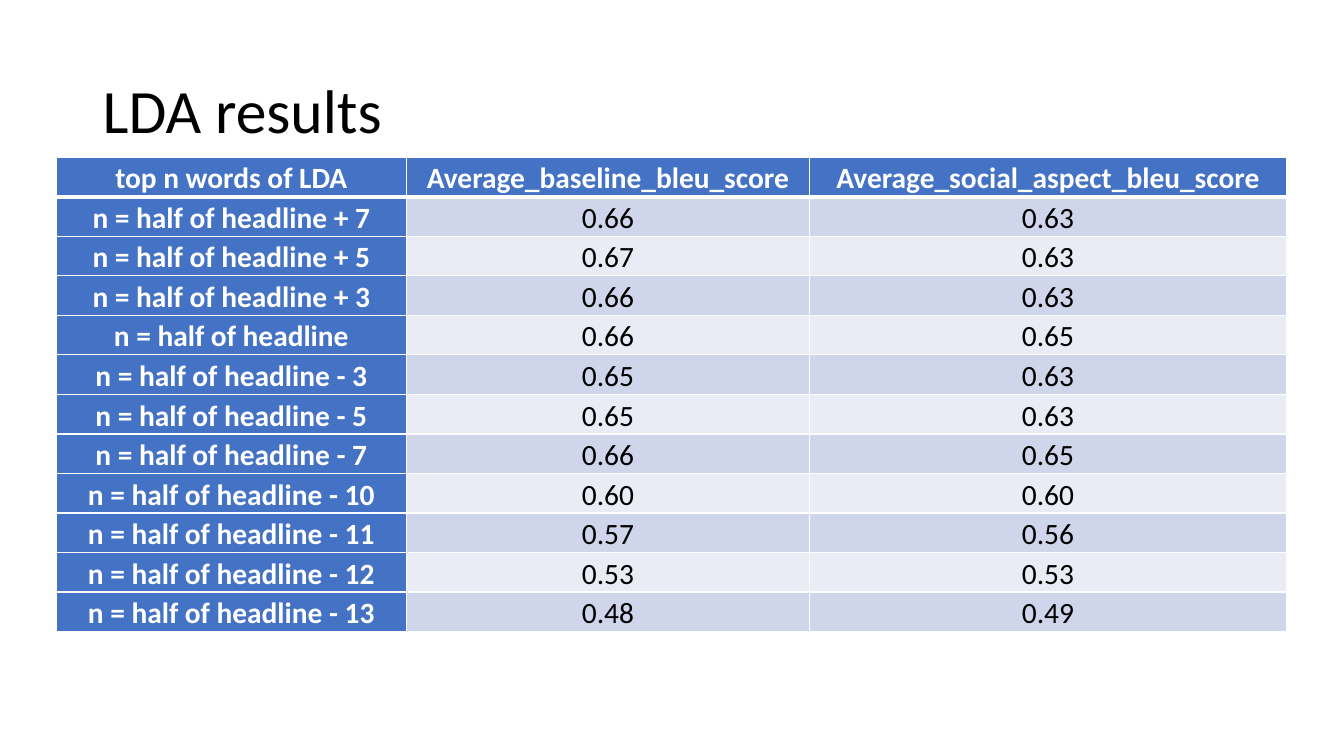
import pptx
import pptx.dml.color
import pptx.enum.text
import pptx.oxml
import pptx.oxml.ns
import pptx.util

BLUE, WHITE, BLACK = "4472C4", "FFFFFF", "000000"
BANDS = ("E9EBF5", "CFD5EA")
COLUMN_SHARES = (26.03, 30.01, 35.48)
ROW_SHARE = 5.23
HEADER = ("top n words of LDA", "Average_baseline_bleu_score", "Average_social_aspect_bleu_score")
SCORES = (
    (" + 7", "0.66", "0.63"),
    (" + 5", "0.67", "0.63"),
    (" + 3", "0.66", "0.63"),
    ("", "0.66", "0.65"),
    (" - 3", "0.65", "0.63"),
    (" - 5", "0.65", "0.63"),
    (" - 7", "0.66", "0.65"),
    (" - 10", "0.60", "0.60"),
    (" - 11", "0.57", "0.56"),
    (" - 12", "0.53", "0.53"),
    (" - 13", "0.48", "0.49"),
)


def color(value):
    return pptx.dml.color.RGBColor.from_string(value)


def set_format(target, values):
    for name, value in values.items():
        setattr(target, name, value)


class Page:
    """Draws styled elements on one slide, with lengths in percent of its size."""

    font_name = "Calibri"
    cell_format = {
        "vertical_anchor": pptx.enum.text.MSO_ANCHOR.BOTTOM,
        "margin_left": pptx.util.Inches(0.15),
        "margin_right": pptx.util.Inches(0.15),
        "margin_top": 0,
        "margin_bottom": 0,
    }
    cell_para = {
        "alignment": pptx.enum.text.PP_ALIGN.CENTER,
        "line_spacing": 1.07,
        "space_after": pptx.util.Pt(8),
    }

    def __init__(self, deck):
        self.deck = deck
        self.slide = deck.slides.add_slide(deck.slide_layouts[6])

    def across(self, share):
        return round(self.deck.slide_width * share / 100)

    def down(self, share):
        return round(self.deck.slide_height * share / 100)

    def add_text(self, para, text, size, ink, bold=False):
        span = para.add_run()
        span.text = text
        set_format(span.font, {"name": self.font_name, "size": pptx.util.Pt(size), "bold": bold})
        span.font.color.rgb = color(ink)

    def title(self, text, left, top, width, height):
        box = self.slide.shapes.add_textbox(
            self.across(left), self.down(top), self.across(width), self.down(height))
        set_format(box.text_frame, {
            "word_wrap": True,
            "vertical_anchor": pptx.enum.text.MSO_ANCHOR.MIDDLE,
        })
        para = box.text_frame.paragraphs[0]
        para.line_spacing = 0.9
        self.add_text(para, text, 44, BLACK)

    def border(self, cell, widths):
        properties = cell._tc.get_or_add_tcPr()
        for side, width in widths.items():
            properties.append(pptx.oxml.parse_xml(
                f'<a:ln{side} {pptx.oxml.ns.nsdecls("a")} w="{pptx.util.Pt(width)}">'
                f'<a:solidFill><a:srgbClr val="{WHITE}"/></a:solidFill></a:ln{side}>'))

    def cell(self, cell, text, fill, ink, bold, bottom):
        self.border(cell, {"L": 1, "R": 1, "T": 1, "B": bottom})
        cell.fill.solid()
        cell.fill.fore_color.rgb = color(fill)
        set_format(cell, self.cell_format)
        para = cell.text_frame.paragraphs[0]
        set_format(para, self.cell_para)
        self.add_text(para, text, 21, ink, bold)

    def table(self, rows, left, top):
        table = self.slide.shapes.add_table(
            len(rows), len(COLUMN_SHARES), self.across(left), self.down(top),
            self.across(sum(COLUMN_SHARES)), self.down(ROW_SHARE * len(rows))).table
        for column, share in zip(table.columns, COLUMN_SHARES):
            column.width = self.across(share)
        for row_index, texts in enumerate(rows):
            table.rows[row_index].height = self.down(ROW_SHARE)
            for column_index, text in enumerate(texts):
                heading = row_index == 0 or column_index == 0
                self.cell(
                    table.cell(row_index, column_index), text,
                    fill=BLUE if heading else BANDS[row_index % 2],
                    ink=WHITE if heading else BLACK,
                    bold=heading,
                    bottom=3 if row_index == 0 else 1)


def main():
    deck = pptx.Presentation()
    set_format(deck, {"slide_width": pptx.util.Inches(13.33), "slide_height": pptx.util.Inches(7.5)})
    page = Page(deck)
    page.title("LDA results", 6.9, 5.33, 86.25, 19.33)
    rows = [HEADER] + [("n = half of headline" + offset, *scores) for offset, *scores in SCORES]
    page.table(rows, 4.2, 20.8)
    deck.save("out.pptx")


if __name__ == "__main__":
    main()
